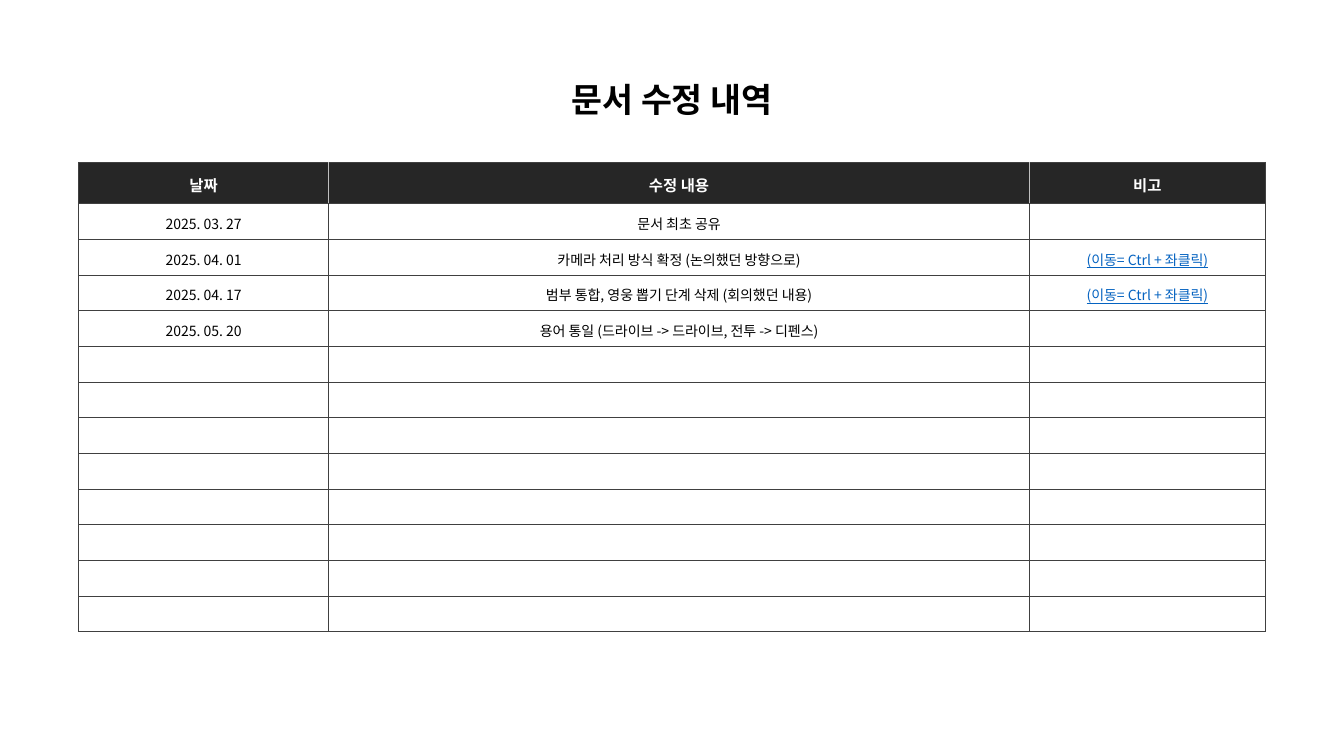
from dataclasses import dataclass

from pptx import Presentation
from pptx.dml.color import RGBColor
from pptx.enum.text import MSO_ANCHOR, MSO_AUTO_SIZE, PP_ALIGN
from pptx.oxml.ns import qn
from pptx.util import Inches, Pt
from lxml import etree

CENTER = PP_ALIGN.CENTER
MIDDLE = MSO_ANCHOR.MIDDLE
GROW = MSO_AUTO_SIZE.SHAPE_TO_FIT_TEXT
TITLE_ONLY = 5


@dataclass(frozen=True)
class Theme:
    font: str = "Noto Sans CJK KR"
    text: str = "000000"
    link: str = "0563C1"
    header_fill: str = "262626"
    header_text: str = "FFFFFF"
    border: str = "404040"
    header_divider: str = "BFBFBF"
    border_width: float = 0.5
    title_size: int = 24
    header_size: int = 11
    body_size: int = 10
    line_spacing: float = 1.2


class SlideBuilder:
    def __init__(self, slide, theme):
        self.slide = slide
        self.theme = theme

    def format_span(self, span, size, color, bold=False, underline=False):
        font = span.font
        font.name = self.theme.font
        font.size = Pt(size)
        font.bold = bold
        font.underline = underline
        font.color.rgb = RGBColor.from_string(color)
        # East Asian typeface
        east_asian = etree.SubElement(span._r.get_or_add_rPr(), qn("a:ea"))
        east_asian.set("typeface", self.theme.font)

    def title(self, text, left, top, width, height):
        box = self.slide.shapes.title
        box.left, box.top = Inches(left), Inches(top)
        box.width, box.height = Inches(width), Inches(height)
        frame = box.text_frame
        frame.text = text
        frame.word_wrap = False
        frame.auto_size = GROW
        frame.vertical_anchor = MIDDLE
        frame.margin_top = frame.margin_bottom = 0
        para = frame.paragraphs[0]
        para.alignment = CENTER
        self.format_span(para.runs[0], self.theme.title_size, self.theme.text, bold=True)

    def cell_borders(self, cell, left, right):
        properties = cell._tc.get_or_add_tcPr()
        sides = {"lnL": left, "lnR": right, "lnT": self.theme.border, "lnB": self.theme.border}
        for side, color in sides.items():
            line = etree.SubElement(properties, qn(f"a:{side}"))
            line.set("w", str(Pt(self.theme.border_width)))
            fill = etree.SubElement(line, qn("a:solidFill"))
            etree.SubElement(fill, qn("a:srgbClr")).set("val", color)

    def cell_text(self, cell, text, size, color, bold, underline):
        cell.vertical_anchor = MIDDLE
        cell.text_frame.text = text
        para = cell.text_frame.paragraphs[0]
        para.alignment = CENTER
        para.line_spacing = self.theme.line_spacing
        if para.runs:
            self.format_span(para.runs[0], size, color, bold, underline)
        else:
            # An empty cell needs its text size to keep the row height
            end = etree.SubElement(para._p, qn("a:endParaRPr"))
            end.set("sz", str(size * 100))

    def table(self, rows, left, top, column_widths, header_height, row_height):
        theme = self.theme
        last = len(column_widths) - 1
        height = header_height + row_height * (len(rows) - 1)
        frame = self.slide.shapes.add_table(
            len(rows), len(column_widths), Inches(left), Inches(top),
            Inches(sum(column_widths)), Inches(height))
        table = frame.table
        table.first_row = False
        table.horz_banding = False
        for column, width in zip(table.columns, column_widths):
            column.width = Inches(width)

        for row_index, texts in enumerate(rows):
            header = row_index == 0
            table.rows[row_index].height = Inches(header_height if header else row_height)
            divider = theme.header_divider if header else theme.border
            for column_index, text in enumerate(texts):
                cell = table.cell(row_index, column_index)
                self.cell_borders(
                    cell,
                    left=theme.border if column_index == 0 else divider,
                    right=theme.border if column_index == last else divider)
                link = column_index == last and not header
                if header:
                    cell.fill.solid()
                    cell.fill.fore_color.rgb = RGBColor.from_string(theme.header_fill)
                    size, color = theme.header_size, theme.header_text
                else:
                    cell.fill.background()
                    size, color = theme.body_size, theme.link if link else theme.text
                self.cell_text(cell, text, size, color, bold=header, underline=link)


# Revision history
HEADER = ("날짜", "수정 내용", "비고")
MOVE_HINT = "(이동= Ctrl + 좌클릭)"
REVISIONS = [
    ("2025. 03. 27", "문서 최초 공유", ""),
    ("2025. 04. 01", "카메라 처리 방식 확정 (논의했던 방향으로)", MOVE_HINT),
    ("2025. 04. 17", "범부 통합, 영웅 뽑기 단계 삭제 (회의했던 내용)", MOVE_HINT),
    ("2025. 05. 20", "용어 통일 (드라이브 -> 드라이브, 전투 -> 디펜스)", ""),
]
BODY_ROWS = 12
TABLE_HEIGHT = 4.66
HEADER_HEIGHT = 0.41


def main():
    deck = Presentation()
    deck.slide_width, deck.slide_height = Inches(13.33), Inches(7.5)
    page = SlideBuilder(deck.slides.add_slide(deck.slide_layouts[TITLE_ONLY]), Theme())

    # Title
    page.title("문서 수정 내역", 5.5, 0.73, 2.33, 0.5)

    # Revision table, padded with empty rows
    blanks = [("", "", "")] * (BODY_ROWS - len(REVISIONS))
    page.table(
        [HEADER, *REVISIONS, *blanks], 0.78, 1.61, (2.48, 6.95, 2.34),
        HEADER_HEIGHT, (TABLE_HEIGHT - HEADER_HEIGHT) / BODY_ROWS)

    deck.save("out.pptx")


if __name__ == "__main__":
    main()
